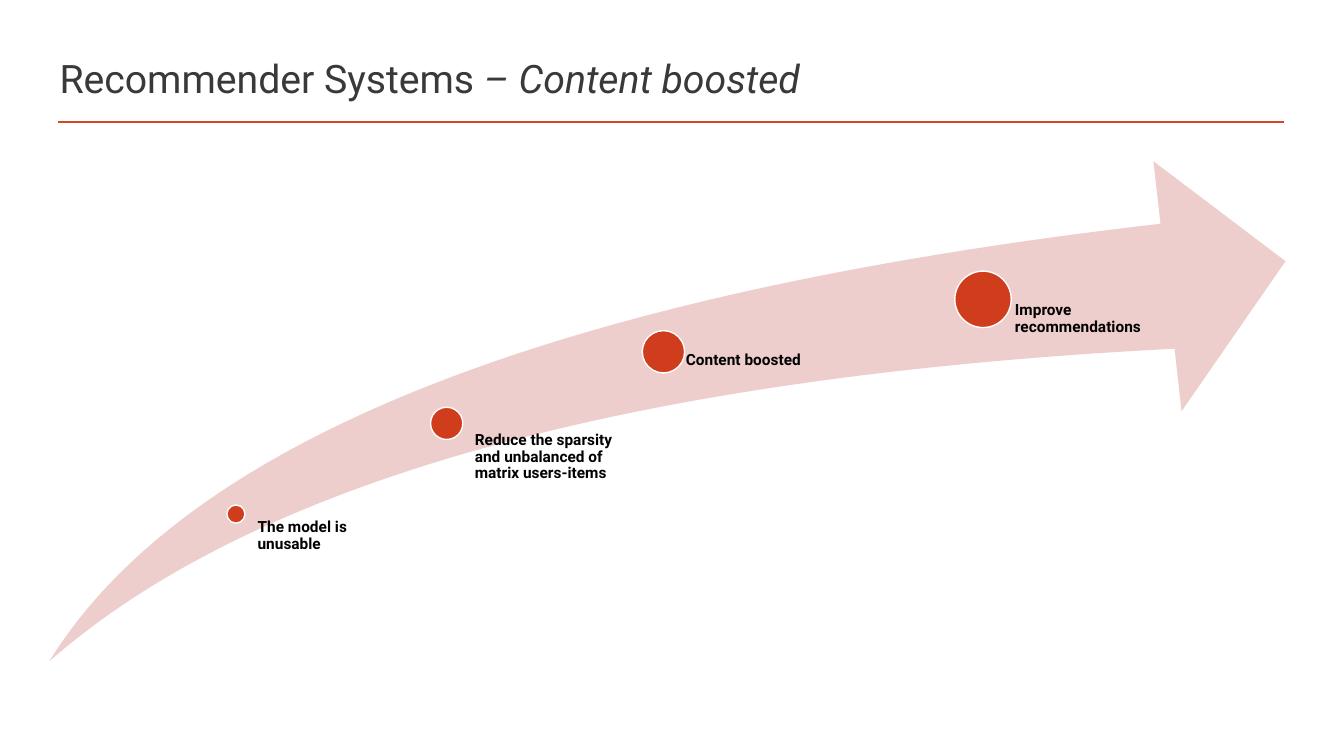
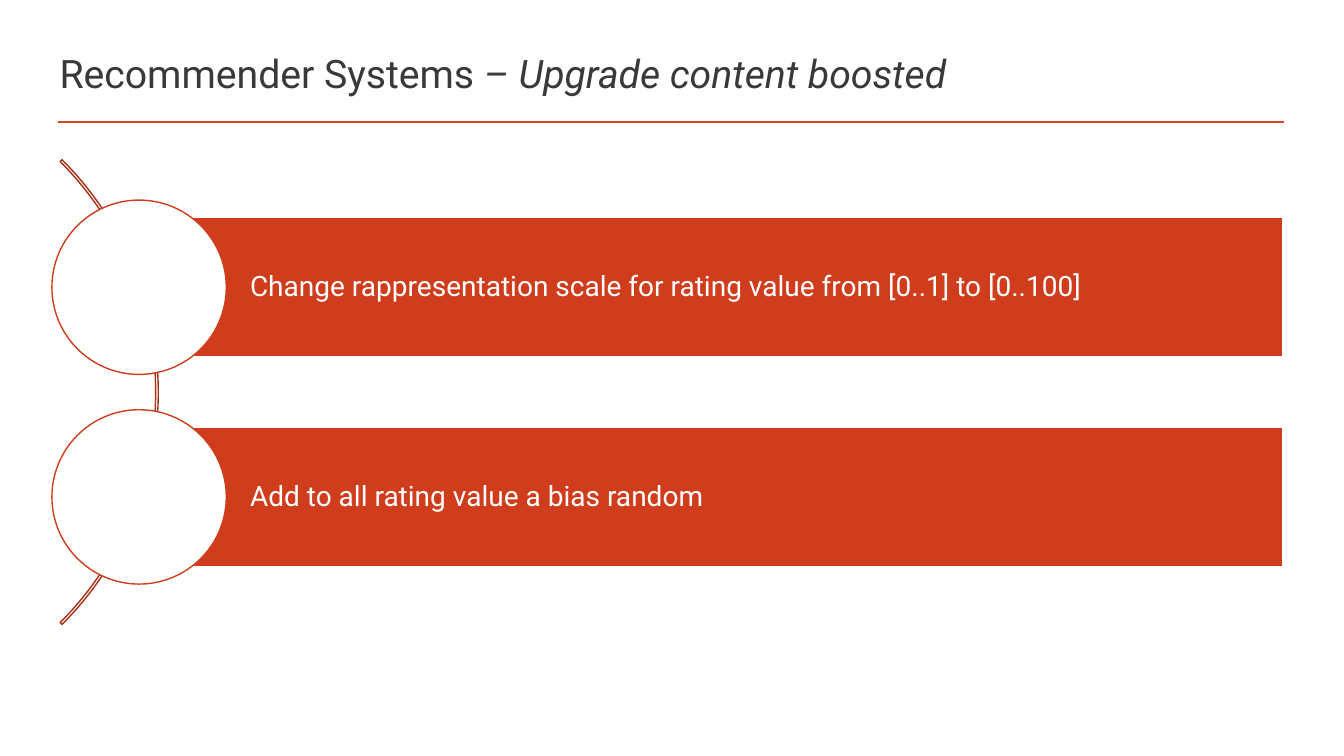
from lxml.etree import SubElement
from pptx import Presentation
from pptx.dml.color import RGBColor
from pptx.enum.shapes import MSO_CONNECTOR, MSO_SHAPE
from pptx.enum.text import MSO_ANCHOR, PP_ALIGN
from pptx.oxml.ns import qn
from pptx.util import Inches, Pt

COLORS = {
    "title": "3B3838",
    "rule": "D24726",
    "accent": "CF3D1C",
    "arc": "A63116",
    "swoosh": "EDCECD",
    "white": "FFFFFF",
    "black": "000000",
}
FONT = "Roboto"


def color(name):
    return RGBColor.from_string(COLORS[name])


class Deck:
    def __init__(self):
        self.presentation = Presentation()
        self.presentation.slide_width = Inches(13.33)
        self.presentation.slide_height = Inches(7.5)
        self.slide = None

    def add_slide(self, topic, title_top=0.47):
        self.slide = self.presentation.slides.add_slide(self.presentation.slide_layouts[5])
        self.rule()
        title = self.slide.shapes.title
        title.left, title.top = Inches(0.49), Inches(title_top)
        title.width, title.height = Inches(12.26), Inches(0.61)
        title.text_frame.vertical_anchor = MSO_ANCHOR.MIDDLE
        paragraph = title.text_frame.paragraphs[0]
        paragraph.alignment = PP_ALIGN.LEFT
        self.style_font(paragraph.font, 28, "title")
        paragraph.add_run().text = "Recommender Systems "
        topic_run = paragraph.add_run()
        topic_run.text = f"– {topic}"
        topic_run.font.italic = True

    def rule(self):
        line = self.slide.shapes.add_connector(
            MSO_CONNECTOR.STRAIGHT, Inches(0.58), Inches(1.21), Inches(12.74), Inches(1.21)
        )
        line.line.color.rgb = color("rule")
        line.line.width = Pt(2)
        SubElement(line._element.spPr, qn("a:effectLst"))

    def style_font(self, font, size, color_name, bold=False):
        font.name = FONT
        font.size = Pt(size)
        font.bold = bold
        font.color.rgb = color(color_name)

    def shape(self, kind, left, top, width, height, fill=None, line=None, adjustments=()):
        shape = self.slide.shapes.add_shape(
            kind, Inches(left), Inches(top), Inches(width), Inches(height)
        )
        shape.shadow.inherit = False
        for index, value in enumerate(adjustments):
            shape.adjustments[index] = value
        if fill:
            shape.fill.solid()
            shape.fill.fore_color.rgb = color(fill)
        else:
            shape.fill.background()
        if line:
            shape.line.color.rgb = color(line)
            shape.line.width = Pt(1)
        else:
            shape.line.fill.background()
        return shape

    def circle(self, center_x, center_y, diameter, fill, line):
        radius = diameter / 2
        self.shape(MSO_SHAPE.OVAL, center_x - radius, center_y - radius,
                   diameter, diameter, fill, line)

    def set_text(self, shape, text, size, color_name, insets, anchor, bold=False):
        frame = shape.text_frame
        frame.word_wrap = True
        frame.vertical_anchor = anchor
        (frame.margin_left, frame.margin_top,
         frame.margin_right, frame.margin_bottom) = map(Inches, insets)
        paragraph = frame.paragraphs[0]
        paragraph.text = text
        paragraph.alignment = PP_ALIGN.LEFT
        paragraph.line_spacing = 0.9
        self.style_font(paragraph.font, size, color_name, bold)

    def label(self, text, left, top, width, height, inset):
        box = self.slide.shapes.add_textbox(
            Inches(left), Inches(top), Inches(width), Inches(height)
        )
        self.set_text(box, text, 11, "black", (inset, 0, 0, 0), MSO_ANCHOR.TOP, bold=True)

    def bar(self, text, left, center_y, width, height):
        bar = self.shape(MSO_SHAPE.RECTANGLE, left, center_y - height / 2,
                         width, height, "accent", "white")
        self.set_text(bar, text, 20, "white", (1.1, 0.06, 0.06, 0.06), MSO_ANCHOR.MIDDLE)


def build_progress_slide(deck):
    deck.add_slide("Content boosted")
    deck.shape(MSO_SHAPE.SWOOSH_ARROW, 0.49, 1.6, 12.26, 4.96, "swoosh",
               adjustments=(0.25, 0.25))
    milestones = [
        ("The model is unusable", 2.34, 5.1, 0.18, 2.46, 5.15, 1.36),
        ("Reduce the sparsity and unbalanced of matrix users-items",
         4.43, 4.2, 0.32, 4.54, 4.29, 1.67),
        ("Content boosted", 6.58, 3.49, 0.42, 6.58, 3.49, 1.67),
        ("Improve recommendations", 9.75, 2.97, 0.56, 9.77, 3, 1.67),
    ]
    labels_bottom = 6.55
    for text, center_x, center_y, diameter, left, top, width in milestones:
        deck.circle(center_x, center_y, diameter, "accent", "white")
        deck.label(text, left, top, width, labels_bottom - top, diameter * 0.53)


def build_upgrade_slide(deck):
    deck.add_slide("Upgrade content boosted", title_top=0.42)
    deck.shape(MSO_SHAPE.BLOCK_ARC, -4.95, 0.63, 6.52, 6.52, line="arc",
               adjustments=(189, 27, 0.004))
    upgrades = [
        "Change rappresentation scale for rating value from [0..1] to [0..100]",
        "Add to all rating value a bias random",
    ]
    left, first_center, pitch = 1.38, 2.85, 2.08
    for index, text in enumerate(upgrades):
        center_y = first_center + index * pitch
        deck.bar(text, left, center_y, 11.34, 1.38)
        deck.circle(left, center_y, 1.73, "white", "accent")


def main():
    deck = Deck()
    build_progress_slide(deck)
    build_upgrade_slide(deck)
    deck.presentation.save("out.pptx")


if __name__ == "__main__":
    main()
